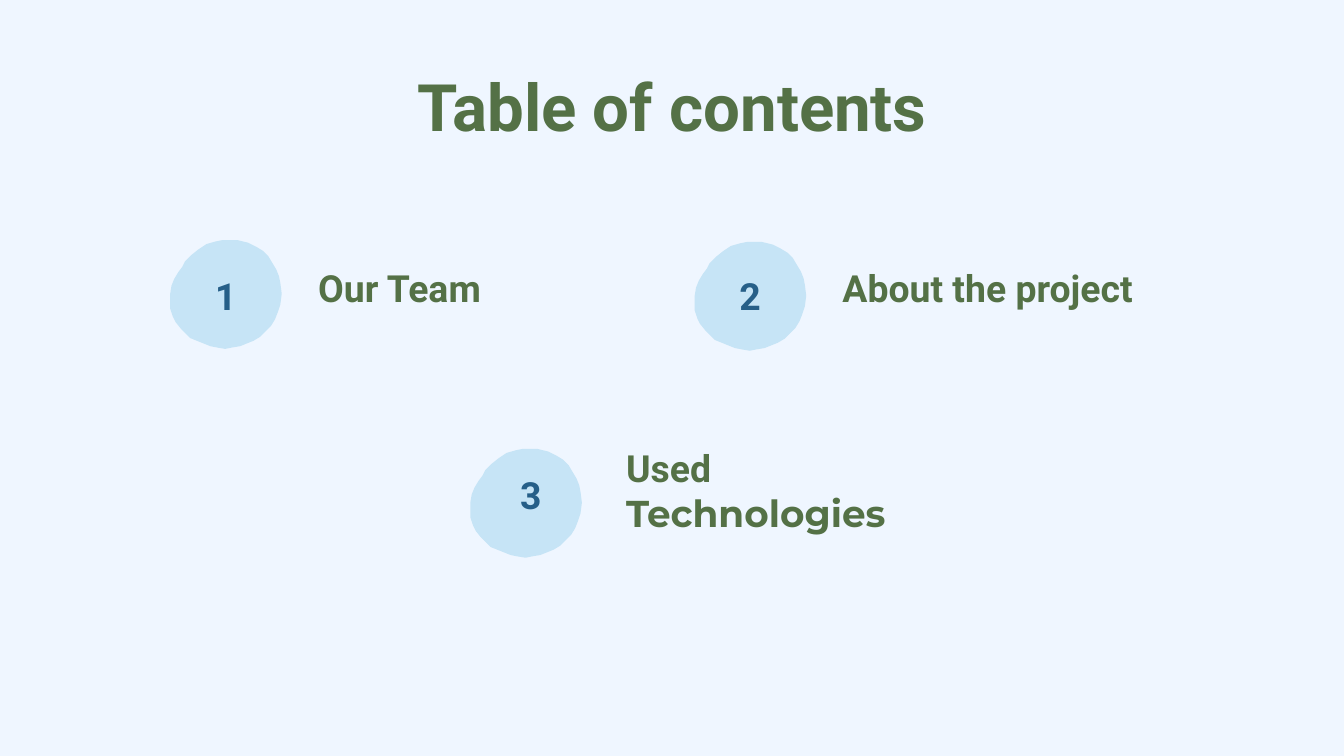
"""Build a table of contents slide with three numbered blobs."""
from pptx import Presentation
from pptx.dml.color import RGBColor
from pptx.enum.text import MSO_ANCHOR, PP_ALIGN
from pptx.util import Pt

LEFT, CENTER = PP_ALIGN.LEFT, PP_ALIGN.CENTER
TOP, MIDDLE, BOTTOM = MSO_ANCHOR.TOP, MSO_ANCHOR.MIDDLE, MSO_ANCHOR.BOTTOM
GREEN, NAVY, SKY, PALE = "547146", "265F88", "C6E4F6", "EFF6FF"
BLOB_UNIT = Pt(0.72)
BLOB = [
    (43, 0), (39, 0), (34, 1), (27, 3), (21, 7), (16, 11), (11, 16), (9, 20),
    (6, 24), (3, 29), (1, 34), (0, 40), (0, 46), (0, 51), (2, 57), (4, 61),
    (8, 66), (11, 69), (15, 73), (20, 75), (25, 77), (30, 79), (35, 80),
    (41, 81), (46, 80), (52, 79), (57, 77), (62, 75), (67, 72), (71, 68),
    (75, 64), (78, 59), (80, 54), (82, 48), (83, 40), (82, 32), (81, 27),
    (79, 22), (76, 17), (73, 12), (69, 8), (64, 5), (58, 2), (54, 1),
    (50, 0), (46, 0),
]


def rgb(color):
    return RGBColor.from_string(color)


def add_text(box, runs, size, color, align, anchor):
    tf = s.shapes.add_textbox(*[Pt(v) for v in box]).text_frame
    tf.word_wrap = True
    tf.vertical_anchor = anchor
    tf.margin_left = tf.margin_right = tf.margin_top = tf.margin_bottom = Pt(7.2)
    p = tf.paragraphs[0]
    p.alignment = align
    p.font.size = Pt(size)
    p.font.bold = True
    p.font.color.rgb = rgb(color)
    for text, font in runs:
        r = p.add_run()
        r.text = text
        r.font.name = font


prs = Presentation()
prs.slide_width, prs.slide_height = Pt(720), Pt(405)
s = prs.slides.add_slide(prs.slide_layouts[6])
s.background.fill.solid()
s.background.fill.fore_color.rgb = rgb(PALE)

add_text((56.7, 28, 607, 43.2), [("Table of contents", "Roboto")], 35, GREEN, CENTER, TOP)

items = [
    ((91.2, 128.6), (92.2, 140.4), (163.4, 144.7), [("Our Team", "Roboto")]),
    ((372.2, 129.6), (373, 140.4), (444.2, 144.7), [("About the project", "Roboto")]),
    ((252, 240.5), (255.6, 247), (328.3, 265),
     [("Used ", "Roboto"), ("Technologies", "Montserrat")]),
]
for number, (blob_at, number_at, label_at, label) in enumerate(items, 1):
    builder = s.shapes.build_freeform(*BLOB[0], scale=BLOB_UNIT)
    builder.add_line_segments(BLOB[1:], close=True)
    sp = builder.convert_to_shape(*[Pt(v) for v in blob_at])
    sp.shadow.inherit = False
    sp.fill.solid()
    sp.fill.fore_color.rgb = rgb(SKY)
    sp.line.fill.background()
    add_text((*number_at, 57.6, 36), [(str(number), "Roboto")], 20, NAVY, CENTER, MIDDLE)
    add_text((*label_at, 184.3, 28.8), label, 20, GREEN, LEFT, BOTTOM)

prs.save("out.pptx")
